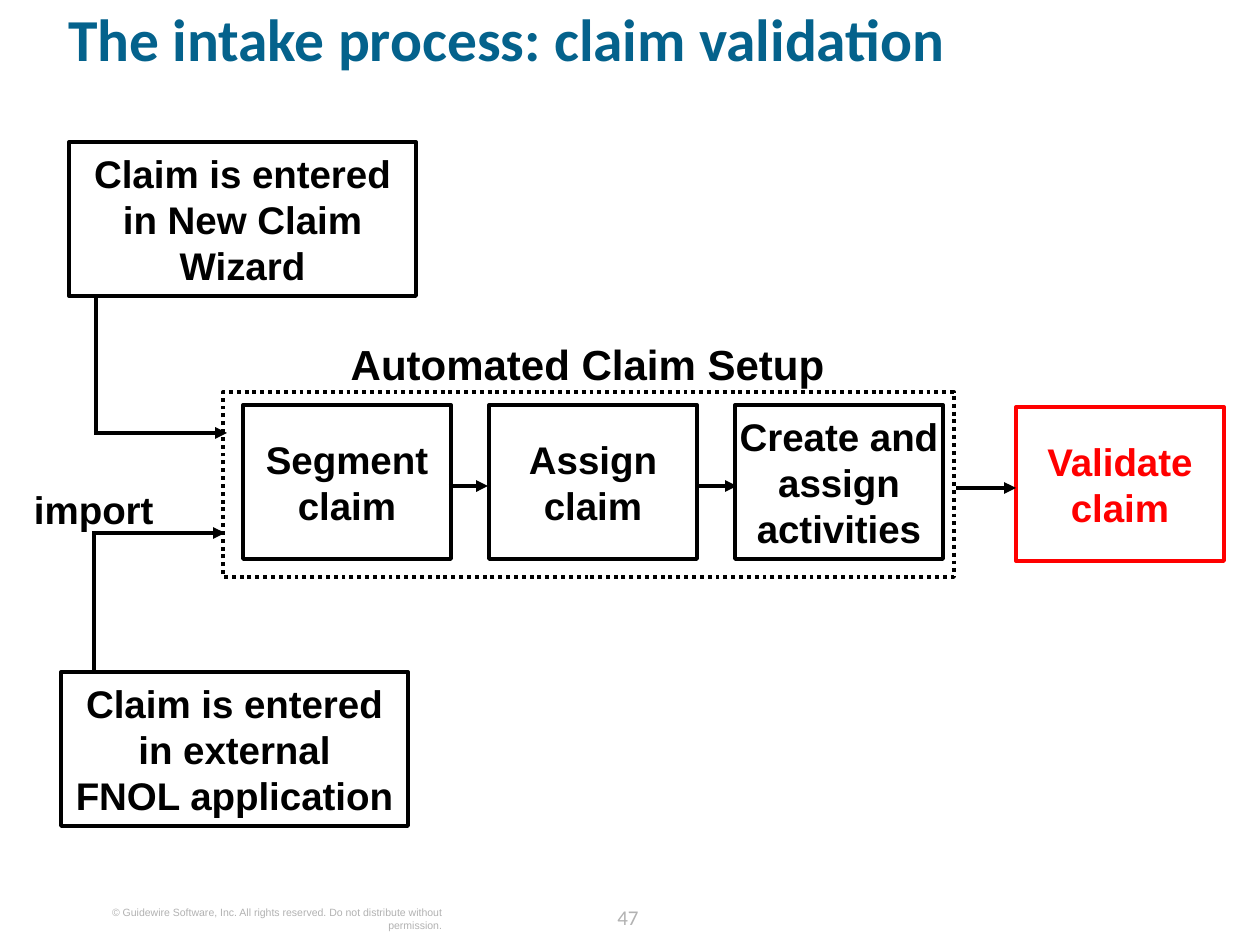
from dataclasses import dataclass

from lxml import etree
from pptx import Presentation
from pptx.dml.color import RGBColor
from pptx.enum.dml import MSO_LINE_DASH_STYLE as DASH
from pptx.enum.shapes import MSO_CONNECTOR, MSO_SHAPE
from pptx.enum.text import MSO_ANCHOR as ANCHOR, MSO_AUTO_SIZE, PP_ALIGN as ALIGN
from pptx.oxml.ns import qn
from pptx.util import Emu, Pt

EMU_PER_PX = 914400 / 126


@dataclass(frozen=True)
class Theme:
    ink: str = "000000"
    paper: str = "FFFFFF"
    title: str = "04628C"
    accent: str = "FF0000"
    muted: str = "B2B2B2"
    body_font: str = "Arial"
    title_font: str = "Calibri"
    title_size: int = 34
    heading_size: int = 24
    body_size: int = 22
    number_size: int = 12
    copyright_size: int = 6
    line_width: float = 2.25


def px(*values):
    return [Emu(round(v * EMU_PER_PX)) for v in values]


class FlowSlide:
    """Draws flow chart elements on one slide in one theme."""

    def __init__(self, slide, theme):
        self.s = slide
        self.theme = theme

    def _write(self, sp, text, size, color, font=None, bold=True,
               align=ALIGN.CENTER, anchor=ANCHOR.TOP, inset=0):
        tf = sp.text_frame
        tf.word_wrap = True
        tf.auto_size = MSO_AUTO_SIZE.NONE
        tf.vertical_anchor = anchor
        tf.margin_top = tf.margin_bottom = 0
        tf.margin_left, tf.margin_right = px(inset, inset)
        p = tf.paragraphs[0]
        p.text = text
        p.alignment = align
        p.font.name = font or self.theme.body_font
        p.font.size = Pt(size)
        p.font.bold = bold
        p.font.color.rgb = RGBColor.from_string(color)
        return p

    def _stroke(self, line, color):
        line.color.rgb = RGBColor.from_string(color)
        line.width = Pt(self.theme.line_width)

    def title(self, text, x, y, w, h):
        sp = self.s.shapes.title
        sp.left, sp.top, sp.width, sp.height = px(x, y, w, h)
        p = self._write(sp, text, self.theme.title_size, self.theme.title,
                        font=self.theme.title_font, align=ALIGN.LEFT)
        p.line_spacing = 0.8

    def label(self, text, x, y, w, h, size, color=None, **style):
        sp = self.s.shapes.add_textbox(*px(x, y, w, h))
        return self._write(sp, text, size, color or self.theme.ink, **style)

    def _rect(self, x, y, w, h, color):
        sp = self.s.shapes.add_shape(MSO_SHAPE.RECTANGLE, *px(x, y, w, h))
        sp.shadow.inherit = False
        self._stroke(sp.line, color)
        return sp

    def step(self, text, x, y, w, h, color=None, inset=0):
        color = color or self.theme.ink
        sp = self._rect(x, y, w, h, color)
        sp.fill.solid()
        sp.fill.fore_color.rgb = RGBColor.from_string(self.theme.paper)
        self._write(sp, text, self.theme.body_size, color,
                    anchor=ANCHOR.MIDDLE, inset=inset)

    def dotted_frame(self, x, y, w, h):
        sp = self._rect(x, y, w, h, self.theme.ink)
        sp.fill.background()
        sp.line.dash_style = DASH.ROUND_DOT

    def line(self, x1, y1, x2, y2, arrow=False):
        cx = self.s.shapes.add_connector(MSO_CONNECTOR.STRAIGHT, *px(x1, y1, x2, y2))
        self._stroke(cx.line, self.theme.ink)
        if arrow:
            etree.SubElement(cx.line._get_or_add_ln(), qn("a:tailEnd"), type="triangle")
        etree.SubElement(cx._element.spPr, qn("a:effectLst"))


def main():
    prs = Presentation()
    prs.slide_width, prs.slide_height = px(1260, 945)
    theme = Theme()
    flow = FlowSlide(prs.slides.add_slide(prs.slide_layouts[5]), theme)

    flow.title("The intake process: claim validation", 68, 16, 1147, 102)

    entry_w, step_w, box_h = 347, 208, 154
    flow.step("Claim is entered in New Claim Wizard", 69, 142, entry_w, box_h, inset=13)
    flow.step("Claim is entered in external\vFNOL application",
              61, 672, entry_w, box_h, inset=13)

    flow.label("Automated Claim Setup", 312, 339, 551, 50, theme.heading_size)
    flow.dotted_frame(223, 392, 731, 185)
    setup_steps = ["Segment\vclaim", "Assign\vclaim", "Create and assign activities"]
    for i, text in enumerate(setup_steps):
        flow.step(text, 243 + 246 * i, 405, step_w, box_h)
    flow.step("Validate\vclaim", 1016, 407, step_w, box_h, color=theme.accent)

    for x1, x2 in [(449, 488), (698, 737)]:
        flow.line(x1, 486, x2, 486, arrow=True)
    flow.line(956, 488, 1016, 488, arrow=True)

    # Each entry point turns a corner into the setup frame.
    for x, y_start, y_turn, x_end in [(96, 296, 433, 227), (94, 670, 533, 225)]:
        flow.line(x, y_start, x, y_turn)
        flow.line(x - 2, y_turn, x_end, y_turn, arrow=True)
    flow.label("import", 34, 486, 135, 46, theme.body_size, align=ALIGN.LEFT)

    flow.label("© Guidewire Software, Inc. All rights reserved. "
               "Do not distribute without permission.",
               77, 906, 365, 26, theme.copyright_size, theme.muted,
               bold=False, align=ALIGN.RIGHT)
    p = flow.label("47", 592, 898, 72, 32, theme.number_size, theme.muted,
                   font=theme.title_font, bold=False)
    p.line_spacing = Pt(18)

    prs.save("out.pptx")


if __name__ == "__main__":
    main()
